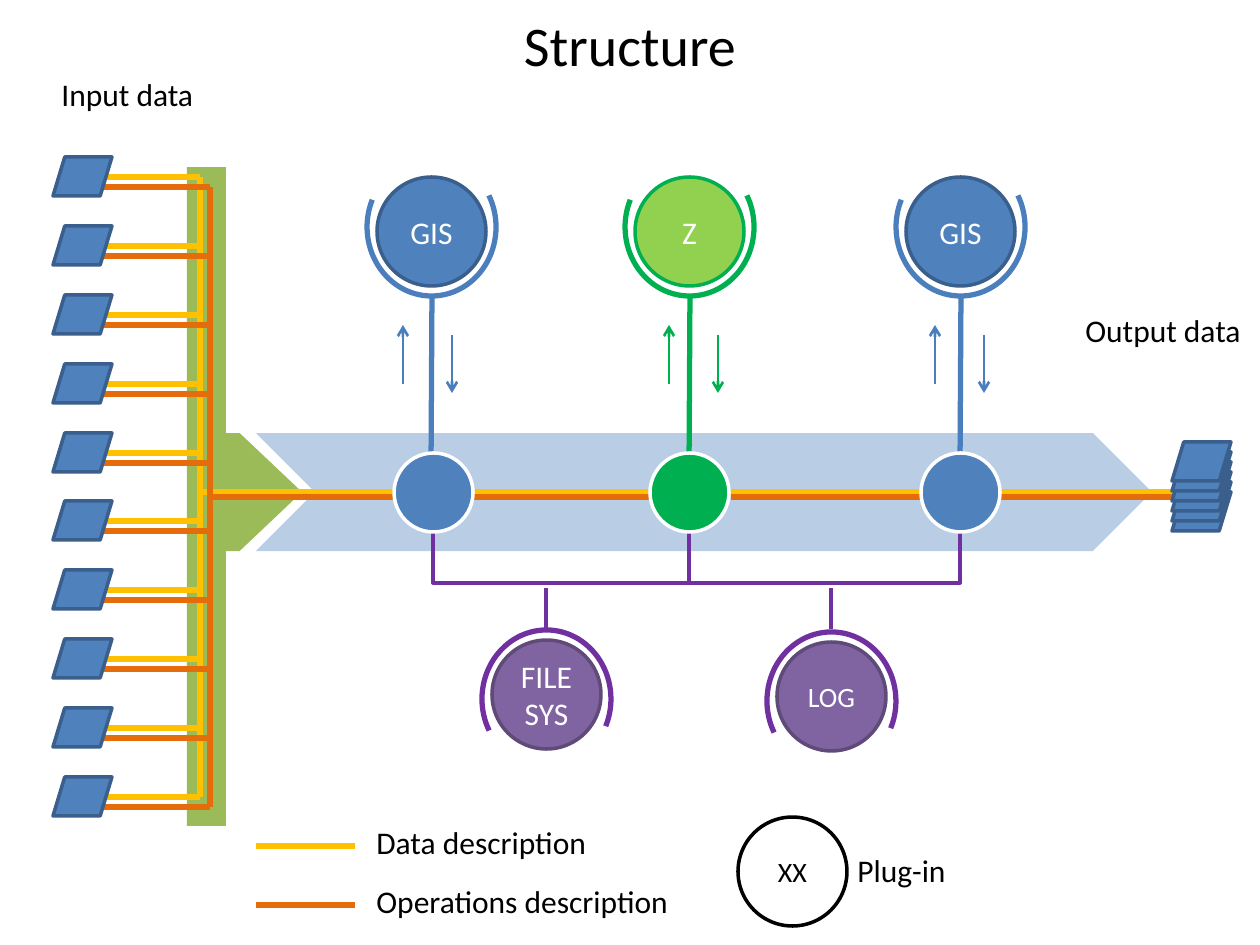
from lxml import etree
from pptx import Presentation
from pptx.dml.color import RGBColor
from pptx.enum.shapes import MSO_CONNECTOR, MSO_SHAPE
from pptx.enum.text import MSO_ANCHOR, MSO_AUTO_SIZE, PP_ALIGN
from pptx.oxml.ns import qn
from pptx.util import Emu, Inches, Pt

STRAIGHT, ELBOW = MSO_CONNECTOR.STRAIGHT, MSO_CONNECTOR.ELBOW
ARC, CIRCLE, RECTANGLE = MSO_SHAPE.ARC, MSO_SHAPE.OVAL, MSO_SHAPE.RECTANGLE
CHEVRON, PENTAGON = MSO_SHAPE.CHEVRON, MSO_SHAPE.PENTAGON
TILE = MSO_SHAPE.FLOWCHART_DATA
CENTER, LEFT, MIDDLE = PP_ALIGN.CENTER, PP_ALIGN.LEFT, MSO_ANCHOR.MIDDLE
FIT_SHAPE = MSO_AUTO_SIZE.SHAPE_TO_FIT_TEXT

BLUE, DARK_BLUE, LINK_BLUE, PALE_BLUE = "4F81BD", "3A5F8C", "4B7EBC", "B9CDE5"
GREEN, LIME, OLIVE = "00B050", "92D050", "9BBB59"
PURPLE, VIOLET, DARK_VIOLET = "7030A0", "8064A2", "5F4A78"
YELLOW, ORANGE, WHITE, BLACK = "FFC000", "E46C0A", "FFFFFF", "000000"

ROWS, ROW_PITCH = 10, 68.9
BRACKET_THICKNESS = 1588


def px(length):
    """Turn pixels into EMU."""
    return Emu(round(length * 914400 / 126))


def color(value):
    """Turn a hex string into a colour."""
    return RGBColor.from_string(value)


class Diagram:
    """Holds the page and its text style."""

    font = "Calibri"

    def __init__(self, page):
        """Keep the page that receives the elements."""
        self.page = page

    def set_text(self, box, text, size, ink, align):
        """Put styled text into a box."""
        frame = box.text_frame
        frame.text = text
        para = frame.paragraphs[0]
        para.alignment = align
        for span in para.runs:
            style = {"name": self.font, "size": Pt(size)}
            for name, value in style.items():
                setattr(span.font, name, value)
            span.font.color.rgb = color(ink)

    def title(self, text, left, top, width, height):
        """Place the title placeholder."""
        box = self.page.shapes.title
        place = {"left": left, "top": top, "width": width, "height": height}
        for name, value in place.items():
            setattr(box, name, px(value))
        box.text_frame.vertical_anchor = MIDDLE
        self.set_text(box, text, 32, BLACK, CENTER)

    def label(self, text, left, top, width):
        """Add an unwrapped caption."""
        box = self.page.shapes.add_textbox(px(left), px(top), px(width), px(50))
        box.text_frame.word_wrap = False
        box.text_frame.auto_size = FIT_SHAPE
        self.set_text(box, text, 18, BLACK, LEFT)

    def shape(self, kind, left, top, width, height, fill=None, edge=None, weight=2):
        """Add a preset shape."""
        shape = self.page.shapes.add_shape(kind, px(left), px(top), px(width), px(height))
        shape.shadow.inherit = False
        if fill:
            shape.fill.solid()
            shape.fill.fore_color.rgb = color(fill)
        else:
            shape.fill.background()
        if edge:
            shape.line.color.rgb = color(edge)
            shape.line.width = Pt(weight)
        else:
            shape.line.fill.background()
        return shape

    def disc(self, text, left, top, fill, edge, size=18, ink=WHITE):
        """Add a plug-in circle with its name."""
        disc = self.shape(CIRCLE, left, top, 109, 109, fill, edge)
        frame = disc.text_frame
        frame.vertical_anchor = MIDDLE
        for name in ("margin_left", "margin_right", "margin_top", "margin_bottom"):
            setattr(frame, name, 0)
        self.set_text(disc, text, size, ink, CENTER)

    def socket(self, left, top, ink, rotation=0):
        """Add the open ring around a plug-in."""
        arc = self.shape(ARC, left, top, 129, 138, None, ink, 3)
        arc.adjustments[0], arc.adjustments[1] = 90.68, 14.81
        arc.rotation = rotation

    def stroke(self, line, ink, weight):
        """Colour a connector and take away its shadow."""
        line.line.color.rgb = color(ink)
        line.line.width = Pt(weight)
        etree.SubElement(line._element.spPr, qn("a:effectLst"))

    def line(self, x1, y1, x2, y2, ink, weight=3, arrow=False):
        """Add a straight line, with an arrowhead if asked."""
        line = self.page.shapes.add_connector(STRAIGHT, px(x1), px(y1), px(x2), px(y2))
        self.stroke(line, ink, weight)
        if arrow:
            outline = line._element.spPr.find(qn("a:ln"))
            etree.SubElement(outline, qn("a:tailEnd"), type="arrow")

    def bracket(self, left, right, top, depth, ink):
        """Add an elbow that hangs below two points of equal height."""
        middle, half = px((left + right) / 2), px((right - left) / 2)
        thin = BRACKET_THICKNESS // 2
        line = self.page.shapes.add_connector(
            ELBOW, middle + thin, px(top) - half, middle - thin, px(top) + half)
        self.stroke(line, ink, 2.25)
        properties = line._element.spPr
        properties.find(qn("a:xfrm")).set("rot", str(270 * 60000))
        geometry = properties.find(qn("a:prstGeom"))
        values = geometry.find(qn("a:avLst"))
        if values is None:
            values = etree.SubElement(geometry, qn("a:avLst"))
        ratio = round(px(depth) / BRACKET_THICKNESS * 100000)
        etree.SubElement(values, qn("a:gd"), name="adj1", fmla=f"val {ratio}")

    def tile(self, left, top):
        """Add a data sheet."""
        self.shape(TILE, left, top, 59, 39, BLUE, DARK_BLUE)

    def inputs(self, left, top, ink):
        """Add the input lines of one kind and the trunk that joins them."""
        right = left + 108
        rows = [top + round(row * ROW_PITCH) for row in range(ROWS)]
        for y in rows:
            self.line(left, y, right, y, ink)
        self.line(right, rows[0], right, rows[-1], ink)

    def upper_plugin(self, text, left, fill, edge, ink):
        """Add a plug-in above the stream."""
        self.socket(left, 158, ink, 180)
        self.disc(text, left + 10, 177, fill, edge)
        self.line(left + 65, 295, left + 64, 472, ink)

    def lower_plugin(self, text, left, top, size):
        """Add a plug-in below the stream."""
        self.socket(left, top, PURPLE)
        self.disc(text, left + 10, top + 10, VIOLET, DARK_VIOLET, size)
        self.line(left + 64, 588, left + 64, 629, PURPLE, 2.25)


deck = Presentation()
deck.slide_width, deck.slide_height = Inches(10), Inches(7.5)
diagram = Diagram(deck.slides.add_slide(deck.slide_layouts[5]))

diagram.shape(CHEVRON, 256, 433, 896, 118, PALE_BLUE)
diagram.title("Structure", 63, -1, 1134, 91)
funnel = diagram.shape(PENTAGON, 226, 433, 76, 118, OLIVE)
funnel.adjustments[0] = 0.82
diagram.shape(RECTANGLE, 187, 167, 39, 659, OLIVE)

diagram.inputs(92, 177, YELLOW)
diagram.line(200, 492, 403, 492, YELLOW)
for text, left, fill, edge, ink in (
    ("GIS", 367, BLUE, DARK_BLUE, LINK_BLUE),
    ("GIS", 896, BLUE, DARK_BLUE, LINK_BLUE),
    ("Z", 625, LIME, GREEN, GREEN),
):
    diagram.upper_plugin(text, left, fill, edge, ink)
diagram.inputs(102, 187, ORANGE)
for row in range(ROWS):
    diagram.tile(53, 157 + round(row * ROW_PITCH))

diagram.line(210, 497, 403, 497, ORANGE)
for left in (463, 728, 994):
    diagram.line(left, 492, left + 203, 492, YELLOW)
    diagram.line(left + 3, 497, left + 194, 497, ORANGE)
for left, ink in ((403, LINK_BLUE), (669, GREEN), (935, LINK_BLUE)):
    diagram.line(left, 384, left, 325, ink, 1.5, True)
    diagram.line(left + 49, 335, left + 49, 393, ink, 1.5, True)

for left, right in ((433, 689), (689, 960)):
    diagram.bracket(left, right, 532, 56, PURPLE)
for left, fill in ((394, BLUE), (650, GREEN), (921, BLUE)):
    diagram.shape(CIRCLE, left, 453, 79, 79, fill, WHITE)
diagram.lower_plugin("FILE\vSYS", 482, 630, 18)
diagram.lower_plugin("LOG", 767, 632, 16)
for sheet in range(6):
    diagram.tile(1172, 492 - 10 * sheet)

for y, ink in ((846, YELLOW), (905, ORANGE)):
    diagram.line(256, y, 355, y, ink)
for text, left, top, width in (
    ("Data description", 364, 817, 238),
    ("Operations description", 364, 876, 320),
    ("Input data", 49, 69, 159),
    ("Output data", 1073, 305, 183),
    ("Plug-in", 845, 845, 115),
):
    diagram.label(text, left, top, width)
diagram.disc("XX", 738, 817, WHITE, BLACK, 16, BLACK)

deck.save("out.pptx")
